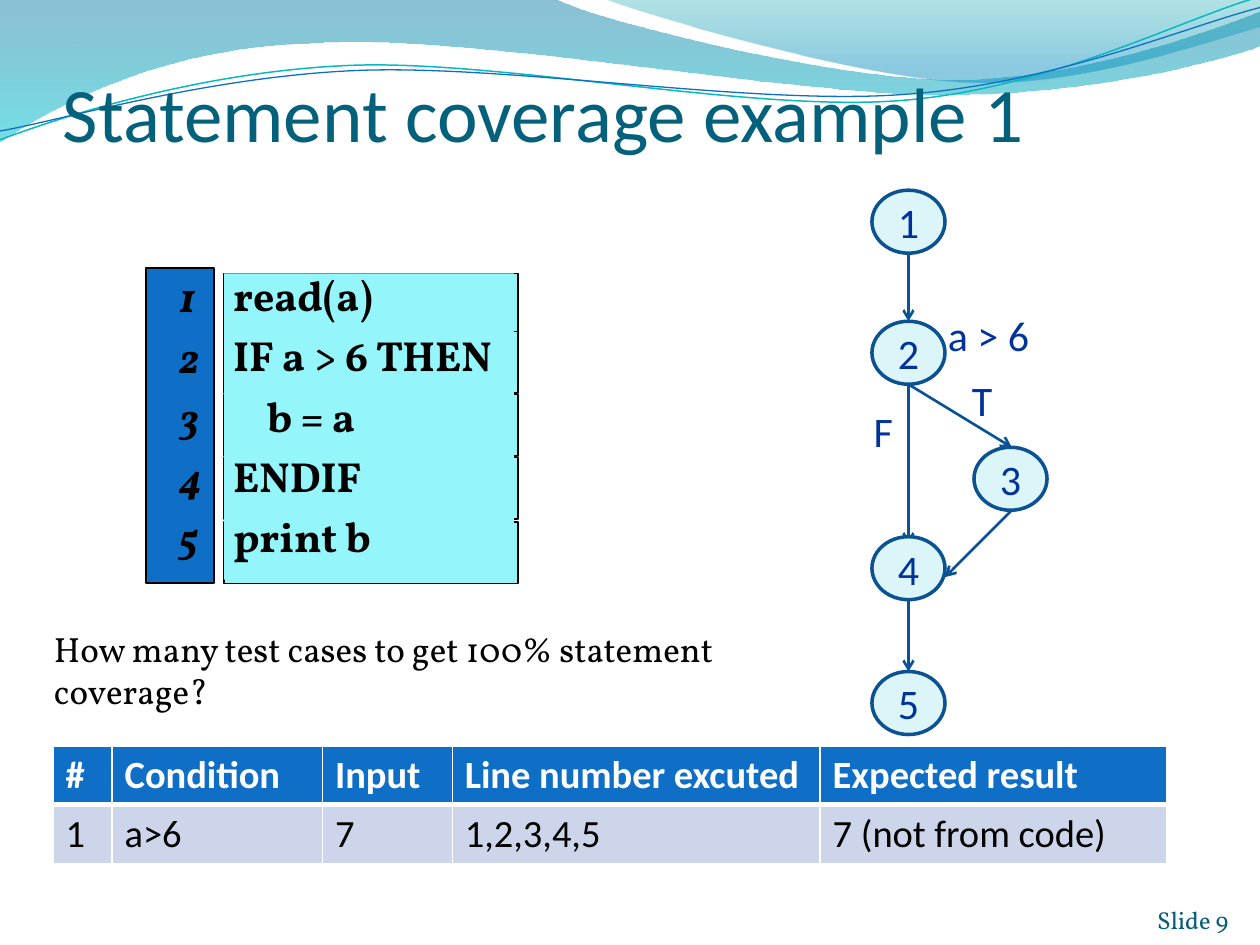
import pptx
import pptx.dml.color
import pptx.enum.shapes
import pptx.enum.text
import pptx.oxml
import pptx.oxml.ns
import pptx.util
from lxml import etree

Inches = pptx.util.Inches
Pt = pptx.util.Pt
color = pptx.dml.color.RGBColor.from_string
qn = pptx.oxml.ns.qn
ANCHOR = pptx.enum.text.MSO_ANCHOR
ALIGN = pptx.enum.text.PP_ALIGN
SHAPE = pptx.enum.shapes.MSO_SHAPE

BLUE, NAVY, AQUA = "0F6FC6", "003399", "94F5FA"


def write_text(frame, text, font, size, hex_color, align=ALIGN.LEFT, anchor=ANCHOR.TOP,
               wrap=True, bold=False, italic=False):
    """Fill a text frame and format every run in it."""
    frame.text = text
    frame.word_wrap = wrap
    frame.vertical_anchor = anchor
    for paragraph in frame.paragraphs:
        paragraph.alignment = align
        for run in paragraph.runs:
            run.font.name, run.font.size = font, Pt(size)
            run.font.bold, run.font.italic = bold, italic
            run.font.color.rgb = color(hex_color)


def draw_outline(segments, close):
    """Draw a freeform; a segment of three points is a cubic curve, of one a line."""
    start = segments[0][0]
    builder = slide.shapes.build_freeform(Inches(start[0]), Inches(start[1]))
    builder.add_line_segments([(Inches(segment[-1][0]), Inches(segment[-1][1]))
                               for segment in segments[1:]], close=close)
    shape = builder.convert_to_shape()
    shape.shadow.inherit = False
    lines = shape._element.spPr.findall(".//" + qn("a:lnTo"))
    for line, segment in zip(lines, segments[1:]):
        if len(segment) == 3:
            curve = etree.Element(qn("a:cubicBezTo"))
            for x, y in segment:
                point = etree.SubElement(curve, qn("a:pt"))
                point.set("x", str(Inches(x) - shape.left))
                point.set("y", str(Inches(y) - shape.top))
            line.getparent().replace(line, curve)
    return shape


presentation = pptx.Presentation()
presentation.slide_width, presentation.slide_height = Inches(10), Inches(7.5)
slide = presentation.slides.add_slide(presentation.slide_layouts[6])

# Wave decoration: outline, then (position, colour, opacity in percent) stops
waves = [
    ([[(0, 0)], [(4.4, -0.01)],
      [(4.76, 0.17), (6.64, 0.63), (7.58, 0.63)], [(8.53, 0.63), (9.58, 0.26), (10, 0.09)],
      [(10.01, 0.36)],
      [(9.83, 0.44), (8.7, 0.76), (7.46, 0.75)], [(6.22, 0.75), (3.82, 0.28), (2.57, 0.34)],
      [(1.29, 0.36), (0.46, 0.83), (-0.01, 1.13)]],
     [(0, "0074A1", 45), (1, "00C6CF", 55)]),
    ([[(4.79, -0.01)],
      [(5.09, 0.11), (6.82, 0.62), (7.69, 0.65)], [(8.56, 0.69), (9.61, 0.32), (10, 0.21)],
      [(10, 0)]],
     [(0, "00A1A9", 30), (0.8, "008BBF", 45)]),
]
for segments, stops in waves:
    wave = draw_outline(segments, close=True)
    wave.line.fill.background()
    wave.fill.gradient()
    wave.fill.gradient_angle = 270
    for stop, (position, hex_color, opacity) in zip(wave.fill.gradient_stops, stops):
        stop.position = position
        stop.color.rgb = color(hex_color)
    colors = wave._element.spPr.findall(".//" + qn("a:srgbClr"))
    for element, (position, hex_color, opacity) in zip(colors, stops):
        etree.SubElement(element, qn("a:alpha")).set("val", str(opacity * 1000))

wave_lines = [
    ([[(0, 1.11)], [(0.48, 0.93), (1.58, 0.57), (2.77, 0.52)],
      [(3.95, 0.47), (5.93, 0.89), (7.13, 0.8)], [(8.33, 0.71), (9.38, 0.15), (9.98, -0.02)]],
     "0AB8BF", 0.85),
    ([[(0, 1.04)], [(0.47, 0.96), (1.64, 0.61), (2.83, 0.56)],
      [(4.03, 0.51), (5.97, 0.84), (7.17, 0.75)], [(8.36, 0.67), (9.41, 0.21), (10, 0.06)]],
     BLUE, 0.75),
]
for segments, hex_color, width in wave_lines:
    wave_line = draw_outline(segments, close=False)
    wave_line.fill.background()
    wave_line.line.color.rgb = color(hex_color)
    wave_line.line.width = Pt(width)

# Code listing: five row boxes, the number bar, and the code panel over the rows
code_boxes = [(1.78, top, 2.33, 0.49, AQUA, True) for top in (2.17, 2.63, 3.13, 3.63, 4.14)]
code_boxes += [(1.16, 2.13, 0.54, 2.5, BLUE, True), (1.78, 2.17, 2.3, 2.43, AQUA, False)]
for left, top, width, height, hex_color, outlined in code_boxes:
    box = slide.shapes.add_shape(SHAPE.RECTANGLE, Inches(left), Inches(top),
                                 Inches(width), Inches(height))
    box.shadow.inherit = False
    box.fill.solid()
    box.fill.fore_color.rgb = color(hex_color)
    if outlined:
        box.line.color.rgb = color("000000")
        box.line.width = Pt(1)
    else:
        box.line.fill.background()

code_frame = box.text_frame
code_frame.margin_left = code_frame.margin_right = Inches(0.07)
code_frame.margin_top = code_frame.margin_bottom = Inches(0.03)
write_text(code_frame, "read(a)\nIF a > 6 THEN\nb = a\nENDIF\nprint b",
           "Vollkorn", 24, "000000", bold=True)
code_frame.paragraphs[2]._p.get_or_add_pPr().set("marL", str(Inches(0.27)))

number_frame = slide.shapes.add_textbox(Inches(1.32), Inches(2.13), Inches(0.38),
                                        Inches(2.41)).text_frame
write_text(number_frame, "1\n2\n3\n4\n5", "Vollkorn", 24, "000000",
           anchor=ANCHOR.MIDDLE, wrap=False, bold=True, italic=True)
for paragraph in code_frame.paragraphs + number_frame.paragraphs:
    paragraph.line_spacing = 0.86
    paragraph.space_before = Pt(0)
    space_before = paragraph._p.pPr.find(qn("a:spcBef"))
    space_before.remove(space_before[0])
    etree.SubElement(space_before, qn("a:spcPct")).set("val", "40000")

# Title and slide number
title_frame = slide.shapes.add_textbox(Inches(0.5), Inches(0.42), Inches(9.17),
                                       Inches(0.83)).text_frame
title_frame.margin_left = title_frame.margin_right = title_frame.margin_bottom = 0
write_text(title_frame, "Statement coverage example 1", "Calibri", 44, "04617B",
           anchor=ANCHOR.BOTTOM)
footer_frame = slide.shapes.add_textbox(Inches(8.92), Inches(7.02), Inches(0.83),
                                        Inches(0.4)).text_frame
footer_frame.margin_left = footer_frame.margin_right = 0
footer_frame.margin_top = footer_frame.margin_bottom = 0
write_text(footer_frame, "Slide 9", "Vollkorn", 14, "045D75", ALIGN.RIGHT, ANCHOR.BOTTOM)

# Flow graph: edges go under the nodes
edges = [(7.21, 2.01, 7.21, 2.55), (7.21, 3.05, 8.03, 3.55), (7.21, 3.05, 7.21, 4.32),
         (8.03, 4.05, 7.5, 4.58), (7.21, 4.76, 7.21, 5.33)]
for edge in edges:
    connector = slide.shapes.add_connector(pptx.enum.shapes.MSO_CONNECTOR.STRAIGHT,
                                           *[Inches(value) for value in edge])
    connector.line.color.rgb = color("095295")
    connector.line.width = Pt(1.5)
    etree.SubElement(connector.line._get_or_add_ln(), qn("a:tailEnd")).set("type", "arrow")
    etree.SubElement(connector._element.spPr, qn("a:effectLst"))

nodes = [("1", 6.92, 1.51), ("2", 6.92, 2.55), ("3", 7.73, 3.55), ("4", 6.92, 4.26),
         ("5", 6.92, 5.33)]
for text, left, top in nodes:
    node = slide.shapes.add_shape(SHAPE.OVAL, Inches(left), Inches(top),
                                  Inches(0.58), Inches(0.5))
    node.shadow.inherit = False
    node.fill.solid()
    node.fill.fore_color.rgb = color("DBF5F9")
    node.line.color.rgb = color("0B5292")
    node.line.width = Pt(2)
    write_text(node.text_frame, text, "Calibri", 24, NAVY, ALIGN.CENTER, ANCHOR.MIDDLE)

labels = [("T", 7.61, 2.92, 0.37), ("a > 6", 7.42, 2.41, 0.85), ("F", 6.83, 3.17, 0.36)]
for text, left, top, width in labels:
    label = slide.shapes.add_textbox(Inches(left), Inches(top), Inches(width), Inches(0.5))
    write_text(label.text_frame, text, "Calibri", 24, NAVY, ALIGN.CENTER, wrap=False)

# Test case table
rows = [["#", "Condition", "Input", "Line number excuted", "Expected result"],
        ["1", "a>6", "7", "1,2,3,4,5", "7 (not from code)"]]
table = slide.shapes.add_table(2, 5, Inches(0.42), Inches(5.92), Inches(8.84),
                               Inches(0.92)).table
for column, width in zip(table.columns, [0.47, 1.67, 1.03, 2.92, 2.75]):
    column.width = Inches(width)
for row_index, row in enumerate(rows):
    header = row_index == 0
    for column_index, text in enumerate(row):
        cell = table.cell(row_index, column_index)
        write_text(cell.text_frame, text, "Calibri", 22, "FFFFFF" if header else "000000",
                   bold=header)
        heavy_side = "B" if header else "T"
        for side in "LRTB":
            border = etree.SubElement(cell._tc.get_or_add_tcPr(), qn("a:ln" + side))
            border.set("w", str(Pt(3 if side == heavy_side else 1)))
            border_fill = etree.SubElement(border, qn("a:solidFill"))
            etree.SubElement(border_fill, qn("a:srgbClr")).set("val", "FFFFFF")
        cell.fill.solid()
        cell.fill.fore_color.rgb = color(BLUE if header else "CCD5EA")

question = slide.shapes.add_textbox(Inches(0.33), Inches(4.93), Inches(6.68), Inches(0.44))
write_text(question.text_frame, "How many test cases to get 100% statement coverage?",
           "Vollkorn", 20, "000000")

presentation.save("out.pptx")
